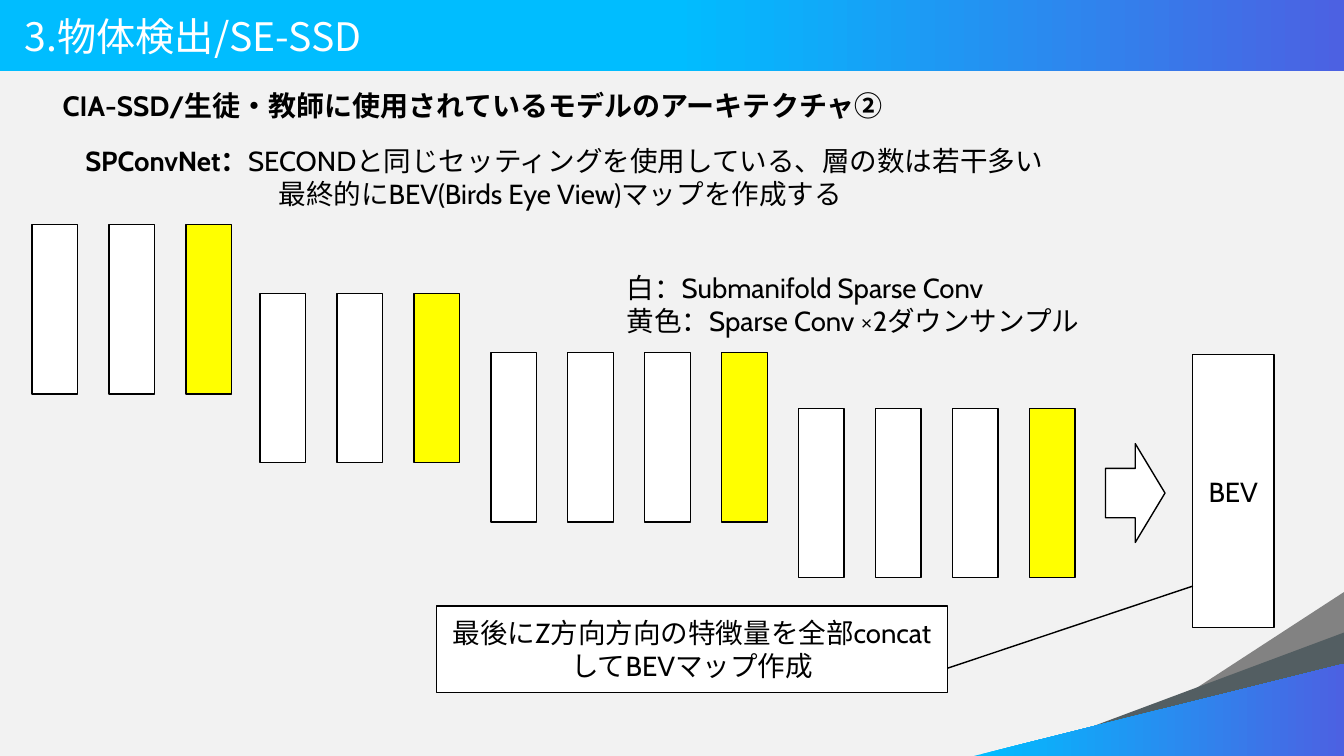
from pptx import Presentation
from pptx import util as u
from pptx.dml.color import RGBColor
from pptx.enum import shapes, text
from pptx.oxml.ns import qn
from lxml import etree

W, H = 33.87, 19.05
BLACK, WHITE, YELLOW = "000000", "FFFFFF", "FFFF00"
SKY, VIOLET = "00BDFF", "4C61E2"
LATIN, JAPANESE = "Cabin", "Noto Sans CJK JP"

TITLE = "3.物体検出/SE-SSD"
HEADING = "CIA-SSD/生徒・教師に使用されているモデルのアーキテクチャ②"
NETWORK = [
    [("SPConvNet：", True), ("SECONDと同じセッティングを使用している、層の数は若干多い", False)],
    [("最終的にBEV(Birds Eye View)マップを作成する", False)],
]
LEGEND = [
    [("白：Submanifold Sparse Conv", False)],
    [("黄色：Sparse Conv ×2ダウンサンプル", False)],
]
BEV = "BEV"
CALLOUT = "最後にZ方向方向の特徴量を全部concatしてBEVマップ作成"

STAGES = [(0.81, 5.66, 2), (6.55, 7.39, 2), (12.37, 8.89, 3), (20.12, 10.29, 3)]
LAYER_W, LAYER_H, LAYER_PITCH = 1.15, 4.27, 1.94
CORNER = [(27.52, 14.92, ["828282"]), (25.54, 15.94, ["535E62"]), (24.55, 16.73, [SKY, VIOLET])]


def color(value):
    return RGBColor.from_string(value)


def paint(sp, colors, start=0.0, line=None):
    sp.shadow.inherit = False
    if len(colors) == 1:
        sp.fill.solid()
        sp.fill.fore_color.rgb = color(colors[0])
    else:
        sp.fill.gradient()
        sp.fill.gradient_angle = 0
        for stop, value, pos in zip(sp.fill.gradient_stops, colors, (start, 1.0)):
            stop.color.rgb = color(value)
            stop.position = pos
    if line:
        sp.line.color.rgb = color(line)
        sp.line.width = u.Pt(1)
    else:
        sp.line.fill.background()


def add_box(s, kind, x, y, w, h, fill=WHITE):
    sp = s.shapes.add_shape(kind, u.Cm(x), u.Cm(y), u.Cm(w), u.Cm(h))
    paint(sp, [fill], line=BLACK)
    return sp


def write(sp, paragraphs, size, ink=BLACK, latin=LATIN, align=text.PP_ALIGN.LEFT,
          anchor=text.MSO_ANCHOR.TOP):
    tf = sp.text_frame
    tf.word_wrap = True
    tf.vertical_anchor = anchor
    for i, runs in enumerate(paragraphs):
        p = tf.add_paragraph() if i else tf.paragraphs[0]
        p.alignment = align
        for words, bold in runs:
            r = p.add_run()
            r.text = words
            r.font.size = u.Pt(size)
            r.font.bold = bold
            r.font.name = latin
            r.font.color.rgb = color(ink)
            etree.SubElement(r.font._element, qn("a:ea")).set("typeface", JAPANESE)
    return tf


def add_text(s, x, y, w, h, paragraphs, size, **style):
    sp = s.shapes.add_textbox(u.Cm(x), u.Cm(y), u.Cm(w), u.Cm(h))
    return write(sp, paragraphs, size, **style)


def main():
    prs = Presentation()
    prs.slide_width, prs.slide_height = u.Cm(W), u.Cm(H)
    s = prs.slides.add_slide(prs.slide_layouts[6])
    s.background.fill.solid()
    s.background.fill.fore_color.rgb = color("F2F2F2")
    kinds = shapes.MSO_SHAPE
    middle = text.MSO_ANCHOR.MIDDLE
    center = text.PP_ALIGN.CENTER

    banner = s.shapes.add_shape(kinds.RECTANGLE, 0, 0, u.Cm(W), u.Cm(1.8))
    paint(banner, [SKY, VIOLET], start=0.5)
    for left, top, colors in CORNER:
        fb = s.shapes.build_freeform(u.Cm(left), u.Cm(H))
        fb.add_line_segments([(u.Cm(W), u.Cm(H)), (u.Cm(W), u.Cm(top))], close=True)
        paint(fb.convert_to_shape(), colors)

    add_text(s, 0.38, 0, 27.15, 1.8, [[(TITLE, False)]], 28, ink=WHITE,
             latin=JAPANESE, anchor=middle)
    add_text(s, 1.33, 2.11, 23, 1.12, [[(HEADING, True)]], 20)
    tf = add_text(s, 1.9, 3.5, 27.76, 1.93, NETWORK, 19.7)
    tf.paragraphs[1]._p.get_or_add_pPr().set("marL", str(u.Cm(4.87)))

    for left, top, whites in STAGES:
        for i in range(whites + 1):
            add_box(s, kinds.RECTANGLE, left + i * LAYER_PITCH, top, LAYER_W, LAYER_H,
                    YELLOW if i == whites else WHITE)

    add_text(s, 15.54, 6.7, 13.92, 1.93, LEGEND, 19.7)
    add_box(s, kinds.RIGHT_ARROW, 27.86, 11.18, 1.5, 2.49)
    bev = add_box(s, kinds.RECTANGLE, 30.05, 8.94, 2.06, 6.88)
    write(bev, [[(BEV, False)]], 19.7, align=center, anchor=middle)
    note = add_box(s, kinds.LINE_CALLOUT_1, 11, 15.27, 12.88, 2.18)
    for i, value in enumerate((0.72, 1.0, -0.23, 1.48)):
        note.adjustments[i] = value
    write(note, [[(CALLOUT, False)]], 19.7, align=center, anchor=middle)

    prs.save("out.pptx")


if __name__ == "__main__":
    main()
